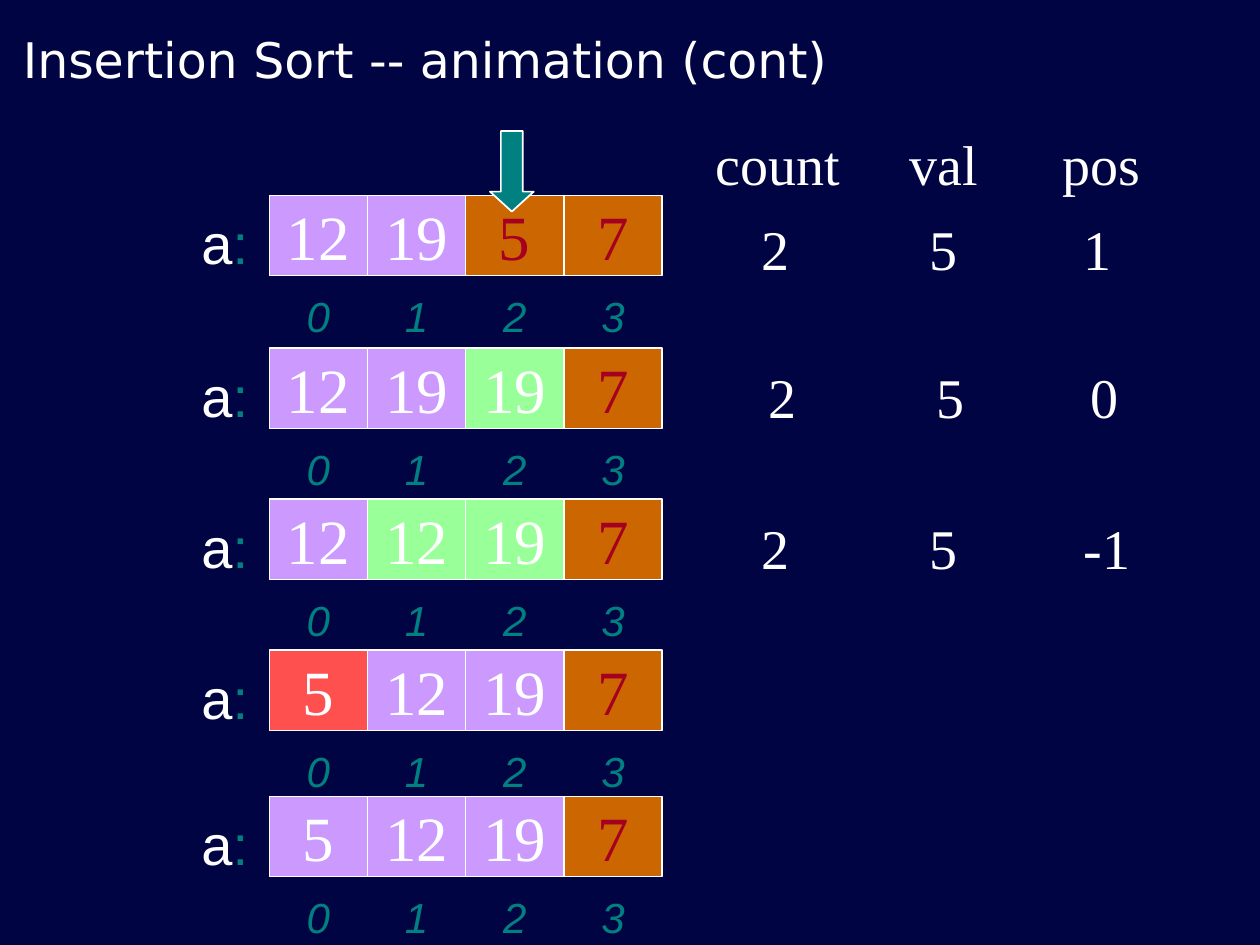
from pptx import Presentation
from pptx.dml.color import RGBColor
from pptx.enum.shapes import MSO_SHAPE
from pptx.enum.text import MSO_ANCHOR, PP_ALIGN
from pptx.oxml.ns import qn
from pptx.util import Pt
from lxml.etree import SubElement

NAVY = RGBColor(0x01, 0x04, 0x42)
WHITE = RGBColor(0xFF, 0xFF, 0xFF)
TEAL = RGBColor(0x00, 0x80, 0x80)
LILAC = RGBColor(0xCC, 0x99, 0xFF)
ORANGE = RGBColor(0xCC, 0x66, 0x00)
GREEN = RGBColor(0x99, 0xFF, 0x99)
RED = RGBColor(0xFF, 0x50, 0x50)
DARK_RED = RGBColor(0xA5, 0x00, 0x21)

SERIF, SANS, TITLE_FONT = "Times New Roman", "Arial", "DejaVu Sans"
CELL_LEFT, CELL_W, CELL_H = 153.9, 56.1, 46
LABEL_INSET = 7.6

prs = Presentation()
prs.slide_width, prs.slide_height = Pt(720), Pt(540)
slide = prs.slides.add_slide(prs.slide_layouts[6])
slide.background.fill.solid()
slide.background.fill.fore_color.rgb = NAVY


def write(shape, runs, size, font, tabs=(), italic=False, **frame_format):
    """Fill a one-paragraph shape with (text, colour) runs."""
    frame = shape.text_frame
    for name, value in frame_format.items():
        setattr(frame, name, value)
    paragraph = frame.paragraphs[0]
    if tabs:
        tab_list = SubElement(paragraph._p.get_or_add_pPr(), qn("a:tabLst"))
        for stop in tabs:
            SubElement(tab_list, qn("a:tab"), pos=str(Pt(stop)), algn="l")
    for text, color in runs:
        run = paragraph.add_run()
        run.text = text
        style = {"size": Pt(size), "name": font, "italic": italic}
        for name, value in style.items():
            setattr(run.font, name, value)
        run.font.color.rgb = color
    return paragraph


def add_box(left, top, width, height, fill=None, line=0.75, kind=MSO_SHAPE.RECTANGLE):
    """Add a filled shape with a white outline, or a text box without fill."""
    place = [Pt(v) for v in (left, top, width, height)]
    if fill is None:
        return slide.shapes.add_textbox(*place)
    shape = slide.shapes.add_shape(kind, *place)
    shape.shadow.inherit = False
    shape.fill.solid()
    shape.fill.fore_color.rgb = fill
    shape.line.color.rgb = WHITE
    shape.line.width = Pt(line)
    return shape


# Title
write(add_box(6, 18, 618, 36), [("Insertion Sort -- animation (cont)", WHITE)],
      28, TITLE_FONT, word_wrap=True, vertical_anchor=MSO_ANCHOR.BOTTOM)

# Array after each step: top, then value and fill of each cell
steps = [
    (111.6, [(12, LILAC), (19, LILAC), (5, ORANGE), (7, ORANGE)]),
    (198.9, [(12, LILAC), (19, LILAC), (19, GREEN), (7, ORANGE)]),
    (285.1, [(12, LILAC), (12, GREEN), (19, GREEN), (7, ORANGE)]),
    (371.4, [(5, RED), (12, LILAC), (19, LILAC), (7, ORANGE)]),
    (455, [(5, LILAC), (12, LILAC), (19, LILAC), (7, ORANGE)]),
]
for top, cells in steps:
    write(add_box(108, top, 43.2, CELL_H), [("a", WHITE), (":", TEAL)],
          32, SANS, word_wrap=True, margin_top=Pt(LABEL_INSET))
    for index, (value, fill) in enumerate(cells):
        left = CELL_LEFT + index * CELL_W
        value_color = DARK_RED if fill == ORANGE else WHITE
        cell = add_box(left, top, CELL_W, CELL_H, fill)
        subscript = add_box(left, top + CELL_H, CELL_W, CELL_H)
        centred = {"word_wrap": False, "vertical_anchor": MSO_ANCHOR.MIDDLE}
        for paragraph in (
            write(cell, [(str(value), value_color)], 36, SERIF, **centred),
            write(subscript, [(str(index), TEAL)], 24, SANS, italic=True, **centred),
        ):
            paragraph.alignment = PP_ALIGN.CENTER

# Arrow to the element being inserted
arrow = add_box(280, 74.9, 25, CELL_H, TEAL, 1, MSO_SHAPE.DOWN_ARROW)
arrow.adjustments[0], arrow.adjustments[1] = 0.5, 0.455

# Variables: left, top, width, text, tab stops
variables = [
    (401.8, 66.2, 276, "count\tval\tpos", (111, 198)),
    (396, 115.2, 287, "\t2\t5\t1", (32, 128, 216)),
    (408.2, 199.4, 287, "\t2\t5\t0", (24, 120, 208)),
    (396, 285.8, 287, "\t2\t5\t-1", (32, 128, 216)),
]
for left, top, width, text, tabs in variables:
    write(add_box(left, top, width, CELL_H), [(text, WHITE)], 32, SERIF, tabs,
          word_wrap=True, margin_top=Pt(LABEL_INSET))

prs.save("out.pptx")
